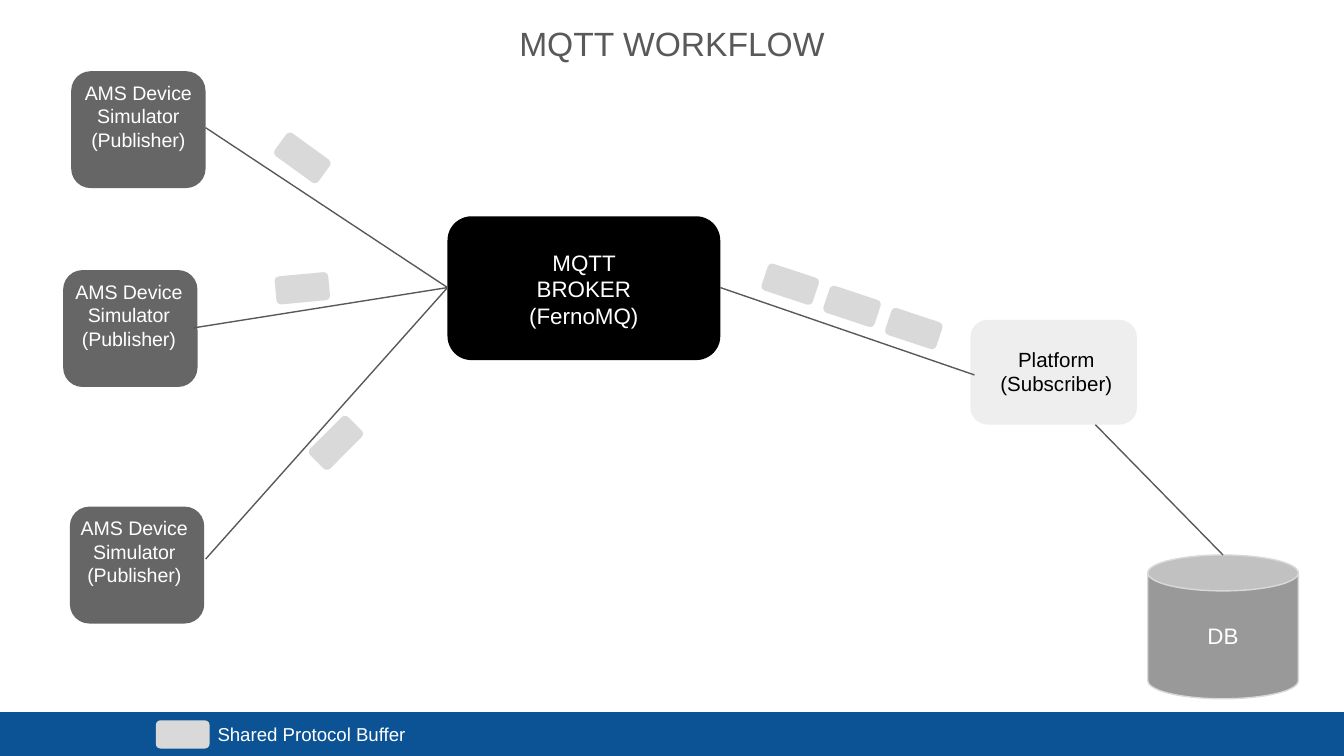
from lxml import etree
from pptx import Presentation
from pptx.dml import color as col
from pptx.enum import shapes, text
from pptx.oxml import ns
from pptx.util import Inches, Pt

HUES = {
    "white": "FFFFFF", "black": "000000", "blue": "0B5394", "dark": "666666",
    "grey": "999999", "edge": "D9D9D9", "pale": "EEEEEE", "ink": "595959",
}
KIND = shapes.MSO_SHAPE
ALIGN = text.PP_ALIGN


def hue(name):
    """Return the named colour."""
    return col.RGBColor.from_string(HUES[name])


def write(frame, words, size=12, color="white", align=ALIGN.CENTER,
          wrap=True):
    """Fill a text frame, one paragraph per line of words."""
    frame.word_wrap = wrap
    frame.auto_size = text.MSO_AUTO_SIZE.NONE
    frame.vertical_anchor = text.MSO_ANCHOR.TOP
    frame.margin_left = frame.margin_right = Inches(0.1)
    frame.margin_top = frame.margin_bottom = Inches(0.1)
    for i, line in enumerate(words.split("\n")):
        para = frame.add_paragraph() if i else frame.paragraphs[0]
        para.alignment = align
        para.line_spacing = 1.0
        para.space_before = Pt(0)
        run = para.add_run()
        run.text = line
        run.font.name = "Arial"
        run.font.size = Pt(size)
        run.font.color.rgb = hue(color)


class Board:
    """Holds the slide and draws its elements in one style."""

    def __init__(self, deck):
        """Add a title-only slide."""
        self.slide = deck.slides.add_slide(deck.slide_layouts[5])
        self.items = self.slide.shapes

    def title(self, words, x, y, w, h):
        """Place and format the title."""
        top = self.items.title
        top.left, top.top, top.width, top.height = map(Inches, (x, y, w, h))
        write(top.text_frame, words, size=18, color="ink")

    def box(self, x, y, w, h, fill, kind=KIND.ROUNDED_RECTANGLE,
            turn=0, edge=None, words=None):
        """Draw a filled preset shape, with words if given."""
        shape = self.items.add_shape(kind, *map(Inches, (x, y, w, h)))
        shape.shadow.inherit = False
        shape.rotation = turn
        shape.fill.solid()
        shape.fill.fore_color.rgb = hue(fill)
        if edge:
            shape.line.color.rgb = hue(edge)
            shape.line.width = Pt(0.75)
        else:
            shape.line.fill.background()
        if words:
            write(shape.text_frame, words)

    def label(self, words, x, y, w, h, **form):
        """Add a text box."""
        area = self.items.add_textbox(*map(Inches, (x, y, w, h)))
        write(area.text_frame, words, **form)

    def link(self, start, end):
        """Draw a thin straight line between two points."""
        line = self.items.add_connector(
            shapes.MSO_CONNECTOR.STRAIGHT, *map(Inches, start + end))
        line.line.color.rgb = hue("ink")
        line.line.width = Pt(0.75)
        etree.SubElement(line._element.spPr, ns.qn("a:effectLst"))

    def packet(self, x, y, turn=0):
        """Draw one message packet."""
        self.box(x, y, 0.4, 0.21, "edge", turn=turn)

    def sender(self, x, y, shift):
        """Draw a publisher box with its label."""
        self.box(x, y, 1, 0.87, "dark")
        self.label("AMS Device\nSimulator\n(Publisher)", x + shift, y - 0.03,
                   1, 0.91, size=10.5, wrap=False)


def build():
    """Build the workflow slide and save it."""
    deck = Presentation()
    deck.slide_width, deck.slide_height = Inches(10), Inches(10 * 9 / 16)
    board = Board(deck)
    board.box(-0.02, 5.3, 10.08, 0.34, "blue", KIND.RECTANGLE)
    board.title("MQTT WORKFLOW", 0.34, 0.07, 9.32, 0.87)

    board.box(3.33, 1.61, 2.03, 1.07, "black")
    board.box(3.73, 1.75, 1.23, 0.65, "black", KIND.RECTANGLE,
              words="MQTT BROKER\n(FernoMQ)")
    board.box(7.22, 2.38, 1.24, 0.78, "pale")
    board.label("Platform\n(Subscriber)", 7.25, 2.48, 1.22, 0.61,
                size=11, color="black")
    board.box(8.54, 4.13, 1.12, 1.07, "grey", KIND.CAN, edge="edge")
    board.box(8.6, 4.53, 1, 0.52, "grey", KIND.RECTANGLE, words="DB")
    for x, y, shift in ((0.53, 0.53, 0), (0.47, 2.01, -0.01),
                        (0.52, 3.77, -0.02)):
        board.sender(x, y, shift)

    hub = (3.33, 2.14)
    for start in ((1.53, 0.95), (1.44, 2.44), (1.53, 4.16)):
        board.link(start, hub)
    board.link((5.36, 2.14), (7.25, 2.79))
    board.link((8.15, 3.16), (9.1, 4.13))

    for x, y, turn in ((2.05, 1.07, 35.9), (2.05, 2.04, 354.6),
                       (2.3, 3.19, 315)):
        board.packet(x, y, turn)
    for i in range(3):
        board.packet(5.68 + 0.46 * i, 2.01 + 0.33 * i / 2, 18.3)

    board.packet(1.16, 5.36)
    board.label("Shared Protocol Buffer", 1.52, 5.28, 2.32, 0.21,
                size=10, align=ALIGN.LEFT)
    deck.save("out.pptx")


build()
